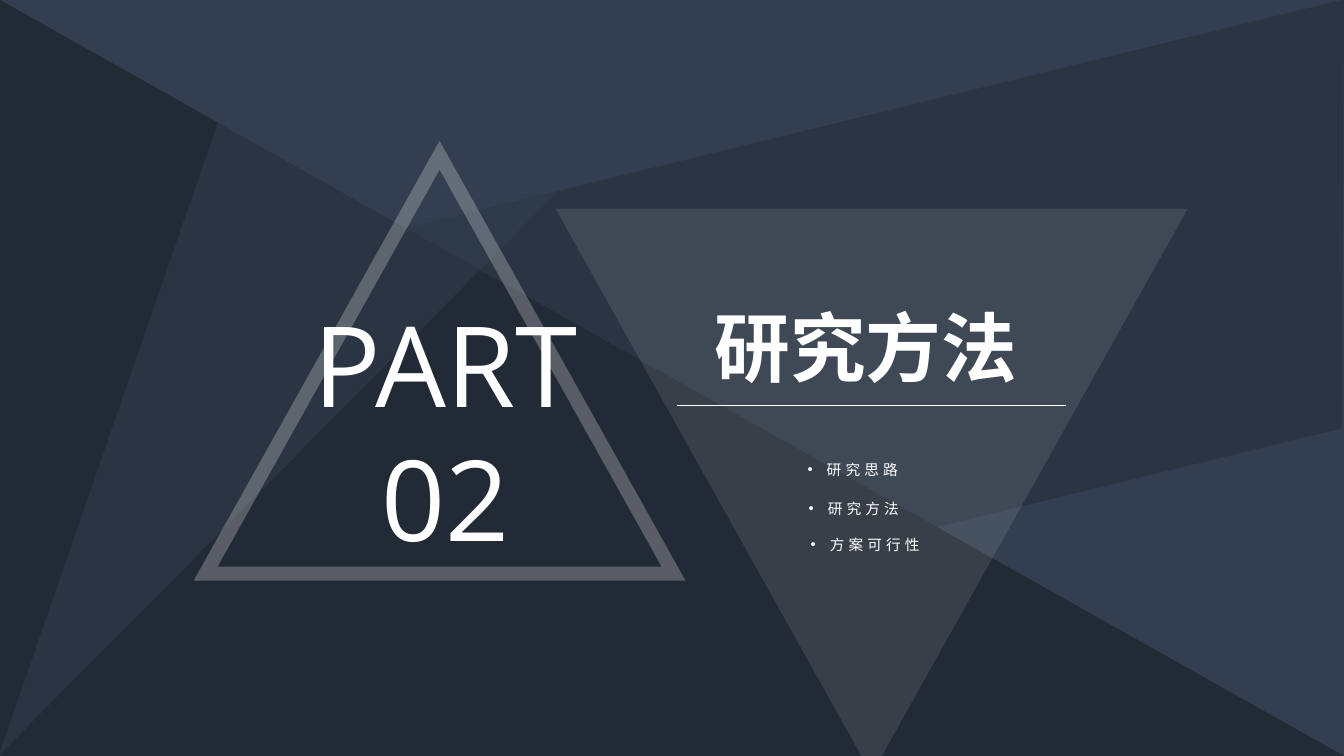
"""Build a dark section slide with angled shapes and a short list."""
import pptx
import pptx.dml.color
import pptx.enum.shapes
import pptx.enum.text
import pptx.oxml.ns
import pptx.util
from lxml import etree

Inches = pptx.util.Inches
Pt = pptx.util.Pt
RGBColor = pptx.dml.color.RGBColor
Kind = pptx.enum.shapes.MSO_SHAPE
Align = pptx.enum.text.PP_ALIGN
qn = pptx.oxml.ns.qn

SLATE = RGBColor(0x33, 0x3F, 0x50)
NIGHT = RGBColor(0x22, 0x2A, 0x35)
SILVER = RGBColor(0xD9, 0xD9, 0xD9)
WHITE = RGBColor(0xFF, 0xFF, 0xFF)
HAN = "Noto Sans CJK JP"
TOPICS = [
    ("研究思路", 8.01, 4.48, 1.04),
    ("研究方法", 8.02, 4.87, 1.04),
    ("方案可行性", 8.04, 5.23, 1.28),
]


def fade(shape, share):
    """Set the opacity, in percent, of the one colour in a shape."""
    color = next(shape.element.spPr.iter(qn("a:srgbClr")))
    etree.SubElement(color, qn("a:alpha"), val=str(share * 1000))


def add_form(slide, kind, box, color, share=100, turn=0, apex=None):
    """Add a filled shape without an outline."""
    form = slide.shapes.add_shape(kind, *map(Inches, box))
    form.shadow.inherit = False
    form.rotation = turn
    if apex is not None:
        form.adjustments[0] = apex
    form.fill.solid()
    form.fill.fore_color.rgb = color
    form.line.fill.background()
    if share < 100:
        fade(form, share)


def add_frame(slide, box, color, width, share):
    """Add a hollow triangle with sharp corners."""
    frame = slide.shapes.add_shape(Kind.ISOSCELES_TRIANGLE, *map(Inches, box))
    frame.shadow.inherit = False
    frame.fill.background()
    frame.line.color.rgb = color
    frame.line.width = Pt(width)
    fade(frame, share)
    outline = frame.element.spPr.find(qn("a:ln"))
    etree.SubElement(outline, qn("a:miter"), lim="800000")


def add_rule(slide, left, right, top):
    """Add a thin level line."""
    rule = slide.shapes.add_connector(
        pptx.enum.shapes.MSO_CONNECTOR.STRAIGHT,
        Inches(left), Inches(top), Inches(right), Inches(top))
    rule.line.color.rgb = WHITE
    rule.line.width = Pt(0.5)
    etree.SubElement(rule.element.spPr, qn("a:effectLst"))


def add_text(slide, text, box, size, font, align=Align.LEFT, bold=False, wrap=True):
    """Add white text and return its frame."""
    frame = slide.shapes.add_textbox(*map(Inches, box)).text_frame
    frame.word_wrap = wrap
    frame.auto_size = pptx.enum.text.MSO_AUTO_SIZE.SHAPE_TO_FIT_TEXT
    frame.text = text
    for para in frame.paragraphs:
        para.alignment = align
        for run in para.runs:
            run.font.size = Pt(size)
            run.font.name = font
            run.font.bold = bold
            run.font.color.rgb = WHITE
            etree.SubElement(run.font._element, qn("a:ea"), typeface=HAN)
    return frame


def add_topic(slide, text, left, top, width):
    """Add one spaced bullet line."""
    frame = add_text(slide, text, (left, top, width, 0.23), 10.5, "Roboto Condensed")
    frame.margin_left = frame.margin_right = 0
    frame.margin_top = frame.margin_bottom = 0
    para = frame.paragraphs[0]
    para.line_spacing = 1.5
    para.runs[0].font._element.set("spc", "300")
    props = para._p.get_or_add_pPr()
    props.set("marL", str(Inches(0.19)))
    props.set("indent", str(-Inches(0.19)))
    tint = etree.SubElement(props, qn("a:buClr"))
    etree.SubElement(tint, qn("a:srgbClr"), val=str(WHITE))
    etree.SubElement(props, qn("a:buFont"), typeface="Arial")
    etree.SubElement(props, qn("a:buChar"), char="•")


def main():
    """Build the slide and save it."""
    deck = pptx.Presentation()
    deck.slide_width, deck.slide_height = Inches(13.33), Inches(7.5)
    slide = deck.slides.add_slide(deck.slide_layouts[6])
    slide.background.fill.solid()
    slide.background.fill.fore_color.rgb = SLATE

    wedge = Kind.ISOSCELES_TRIANGLE
    add_form(slide, wedge, (0, 0, 13.33, 7.5), NIGHT, apex=0)
    add_form(slide, Kind.PARALLELOGRAM, (-0.71, 1.68, 14.74, 4.13), NIGHT, 50, 346.3)
    add_form(slide, wedge, (1.14, 0.64, 3.68, 7.67), SLATE, 50, 199.1, 1)
    add_frame(slide, (2.04, 1.54, 4.64, 4.15), SILVER, 10, 30)
    add_form(slide, wedge, (5.51, 2.07, 6.27, 5.61), WHITE, 10, 180)

    add_text(slide, "PART\n02", (2.52, 2.88, 3.8, 2.79), 80, "Open Sans", Align.CENTER)
    add_rule(slide, 6.71, 10.57, 4.02)
    add_text(slide, "研究方法", (6.99, 2.94, 3.25, 1.01), 54, HAN, bold=True, wrap=False)
    for topic in TOPICS:
        add_topic(slide, *topic)
    deck.save("out.pptx")


if __name__ == "__main__":
    main()
